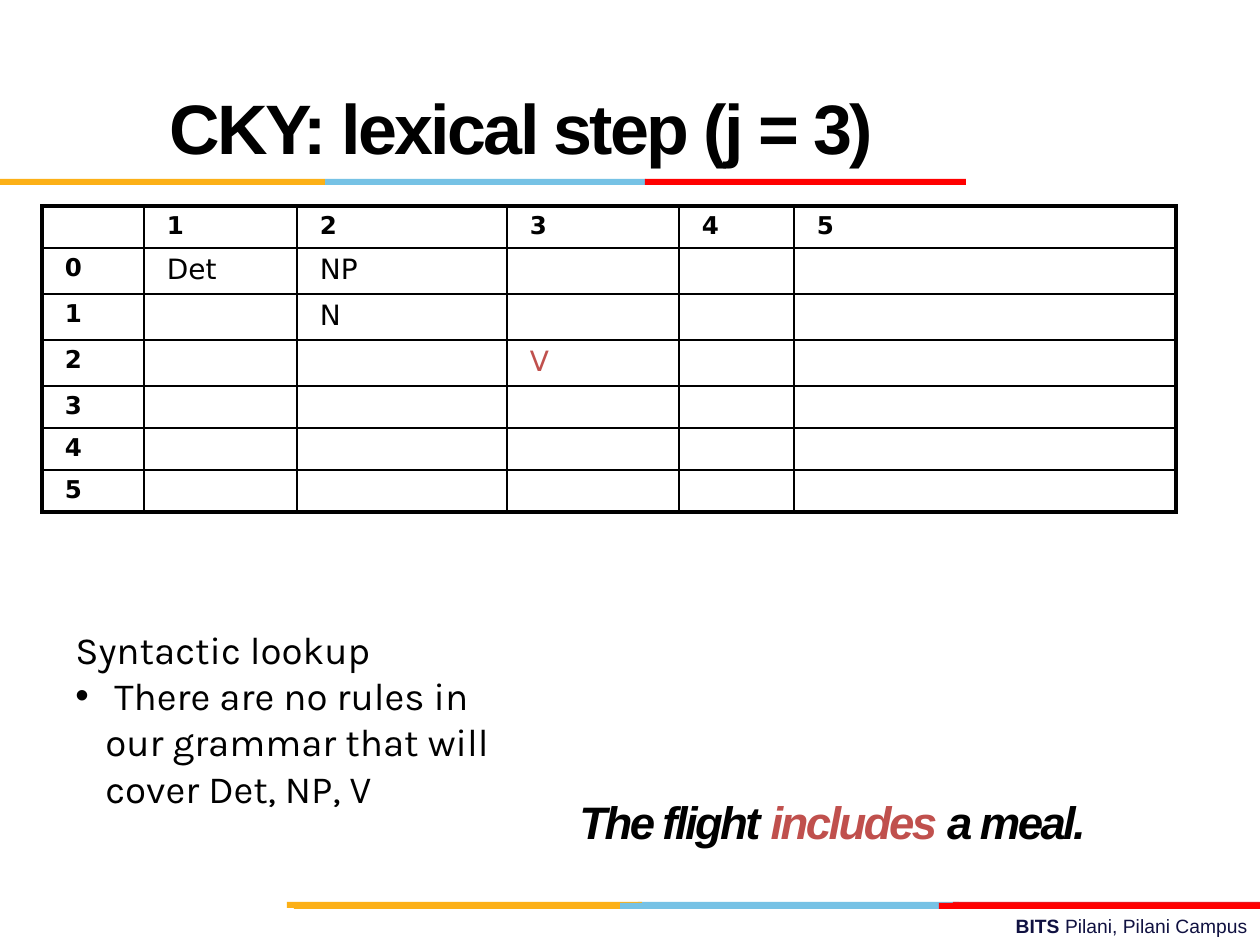
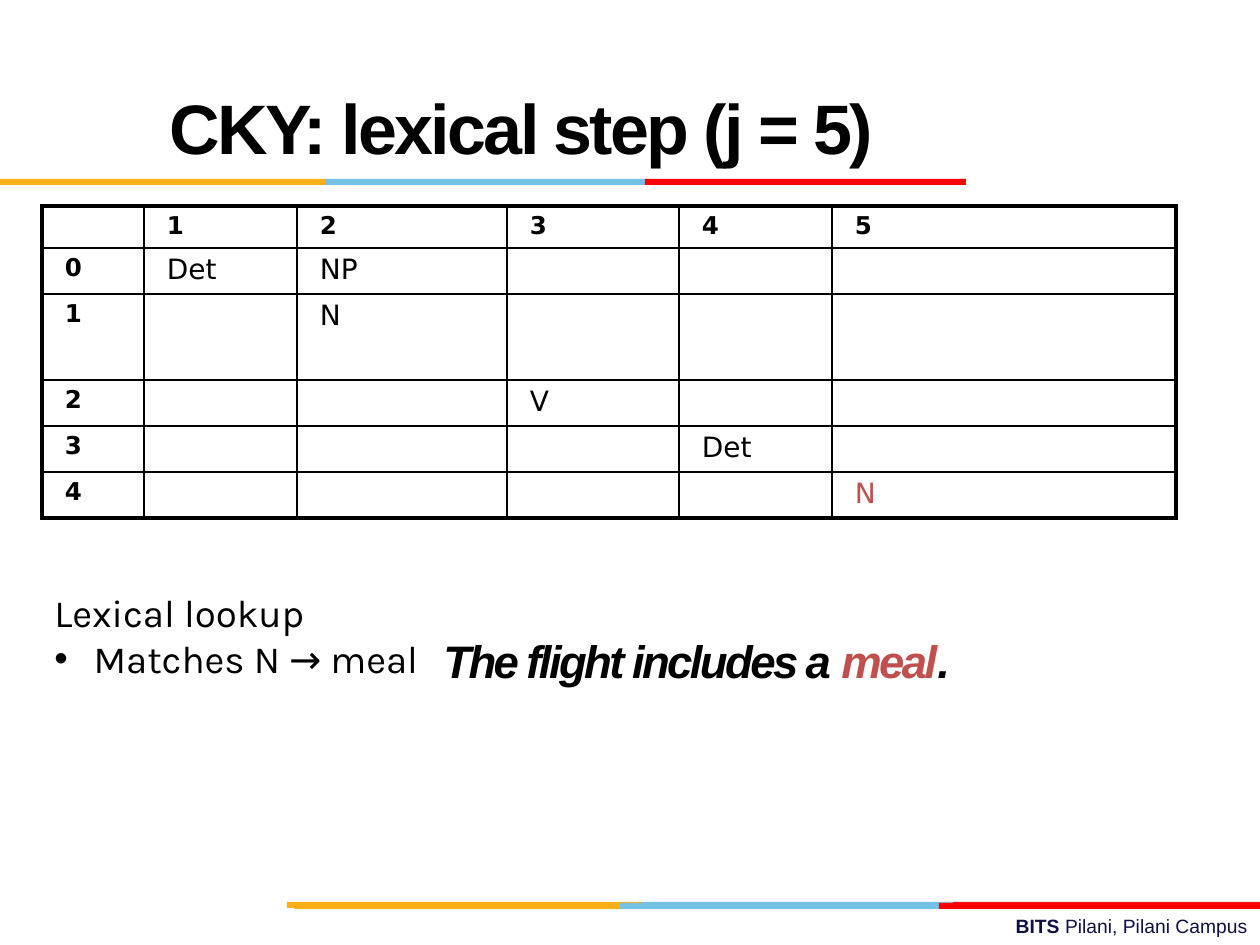
from dataclasses import dataclass
from typing import NamedTuple

from lxml.etree import SubElement
from pptx import Presentation
from pptx.dml.color import RGBColor
from pptx.enum.shapes import MSO_SHAPE
from pptx.enum.text import MSO_ANCHOR, PP_ALIGN
from pptx.oxml.ns import qn
from pptx.slide import Slide
from pptx.table import Table, _Cell
from pptx.text.text import TextFrame, _Paragraph
from pptx.util import Emu, Pt

# Shared style
BLACK = RGBColor(0x00, 0x00, 0x00)
NAVY = RGBColor(0x10, 0x11, 0x41)
ACCENT = RGBColor(0xC0, 0x50, 0x4D)
GOLD = RGBColor(0xFC, 0xB0, 0x17)
SKY = RGBColor(0x76, 0xC2, 0xE5)
CRIMSON = RGBColor(0xE3, 0x1C, 0x24)
RED = RGBColor(0xFF, 0x00, 0x00)

PX_PER_INCH = 126
BAND_HEIGHT = 6
TIGHT_SPACING = -150
THIN, THICK = Pt(1), Pt(2.25)
BULLET_INDENT = 30
CELL_INSET_X, CELL_INSET_Y = 23, 6
TABLE_LEFT, TABLE_TOP = 42, 206


def px(length: int) -> Emu:
    return Emu(round(length * 914400 / PX_PER_INCH))


class Box(NamedTuple):
    left: int
    top: int
    width: int
    height: int

    def emu(self) -> list[Emu]:
        return [px(length) for length in self]


class Band(NamedTuple):
    left: int
    top: int
    width: int
    color: RGBColor


class Word(NamedTuple):
    text: str
    color: RGBColor = BLACK
    bold: bool | None = None


@dataclass(frozen=True)
class Chart:
    """The parse chart: entries are keyed by (row label, column label)."""
    column_widths: list[int]
    row_heights: list[int]
    entries: dict[tuple[int, int], str]
    newest: tuple[int, int]


@dataclass(frozen=True)
class Step:
    title: str
    chart: Chart
    sentence_box: Box
    sentence: list[Word]
    lookup_box: Box
    lookup: str
    finding: str


BANDS = [
    Band(638, 902, 321, SKY), Band(953, 902, 307, CRIMSON), Band(287, 902, 355, GOLD),
    Band(620, 903, 321, SKY), Band(294, 903, 326, GOLD), Band(939, 903, 321, RED),
    Band(325, 179, 321, SKY), Band(0, 179, 325, GOLD), Band(645, 179, 321, RED),
]
FOOTER_BOX = Box(451, 908, 809, 37)
TITLE_BOX = Box(157, 42, 1102, 168)

FIRST_ENTRIES = {(0, 1): "Det", (0, 2): "NP", (1, 2): "N", (2, 3): "V"}

STEPS = [
    Step(
        title="CKY: lexical step (j = 3)",
        chart=Chart([102, 153, 210, 172, 115, 382], [42, 46, 46, 46, 42, 42, 42],
                    FIRST_ENTRIES, newest=(2, 3)),
        sentence_box=Box(567, 746, 872, 158),
        sentence=[Word("The flight "), Word("includes", ACCENT), Word(" a meal.")],
        lookup_box=Box(63, 620, 472, 200),
        lookup="Syntactic lookup",
        finding=" There are no rules in our grammar that will cover Det, NP, V",
    ),
    Step(
        title="CKY: lexical step (j = 5)",
        chart=Chart([102, 153, 210, 172, 153, 344], [42, 46, 86, 46, 46, 46],
                    FIRST_ENTRIES | {(3, 4): "Det", (4, 5): "N"}, newest=(4, 5)),
        sentence_box=Box(431, 585, 872, 158),
        sentence=[Word("The flight includes a "), Word("meal", ACCENT), Word(".")],
        lookup_box=Box(42, 583, 410, 106),
        lookup="Lexical lookup",
        finding=" Matches N → meal",
    ),
]


# Text
def style(paragraph: _Paragraph, font_name: str, size: int, color: RGBColor = BLACK,
          bold: bool | None = None, italic: bool | None = None) -> None:
    font = paragraph.font
    font.name, font.size, font.bold, font.italic = font_name, Pt(size), bold, italic
    font.color.rgb = color


def add_words(paragraph: _Paragraph, words: list[Word], spacing: int = 0) -> None:
    for word in words:
        run = paragraph.add_run()
        run.text = word.text
        run.font.color.rgb = word.color
        if word.bold is not None:
            run.font.bold = word.bold
        if spacing:
            run._r.get_or_add_rPr().set("spc", str(spacing))


def add_text_frame(slide: Slide, box: Box, anchor: MSO_ANCHOR = MSO_ANCHOR.TOP) -> TextFrame:
    text_frame = slide.shapes.add_textbox(*box.emu()).text_frame
    text_frame.word_wrap = True
    text_frame.vertical_anchor = anchor
    return text_frame


def add_bullet(paragraph: _Paragraph) -> None:
    properties = paragraph._p.get_or_add_pPr()
    properties.set("marL", str(px(BULLET_INDENT)))
    properties.set("indent", str(-px(BULLET_INDENT)))
    SubElement(properties, qn("a:buFont"), typeface="Arial")
    SubElement(properties, qn("a:buChar"), char="•")


# Bands and footer
def add_frame(slide: Slide) -> None:
    footer = add_text_frame(slide, FOOTER_BOX).paragraphs[0]
    footer.alignment = PP_ALIGN.RIGHT
    style(footer, "Arial", 11, NAVY)
    add_words(footer, [Word("BITS ", NAVY, True), Word("Pilani, Pilani Campus", NAVY, False)])
    for band in BANDS:
        box = Box(band.left, band.top, band.width, BAND_HEIGHT)
        shape = slide.shapes.add_shape(MSO_SHAPE.RECTANGLE, *box.emu())
        shape.shadow.inherit = False
        shape.fill.solid()
        shape.fill.fore_color.rgb = band.color
        shape.line.fill.background()


# Parse chart table
def add_borders(cell: _Cell, outer_sides: dict[str, bool]) -> None:
    properties = cell._tc.get_or_add_tcPr()
    for side, is_outer in outer_sides.items():
        line = SubElement(properties, qn(f"a:ln{side}"), w=str(THICK if is_outer else THIN))
        fill = SubElement(line, qn("a:solidFill"))
        SubElement(fill, qn("a:srgbClr"), val=str(BLACK))


def fill_cell(cell: _Cell, text: str, size: int, color: RGBColor, bold: bool) -> None:
    cell.margin_left = cell.margin_right = px(CELL_INSET_X)
    cell.margin_top = cell.margin_bottom = px(CELL_INSET_Y)
    cell.fill.background()
    paragraph = cell.text_frame.paragraphs[0]
    style(paragraph, "DejaVu Sans", size, color, bold)
    if text:
        paragraph.add_run().text = text
    else:  # keeps empty cells from stretching their row
        SubElement(paragraph._p, qn("a:endParaRPr"), sz=str(size * 100))


def add_chart_table(slide: Slide, chart: Chart) -> None:
    row_count, column_count = len(chart.row_heights), len(chart.column_widths)
    box = Box(TABLE_LEFT, TABLE_TOP, sum(chart.column_widths), sum(chart.row_heights))
    table: Table = slide.shapes.add_table(row_count, column_count, *box.emu()).table
    table.first_row = table.horz_banding = False
    for column, width in zip(table.columns, chart.column_widths):
        column.width = px(width)
    for row_index, (row, height) in enumerate(zip(table.rows, chart.row_heights)):
        row.height = px(height)
        for column_index, cell in enumerate(row.cells):
            add_borders(cell, {"L": column_index == 0, "R": column_index == column_count - 1,
                               "T": row_index == 0, "B": row_index == row_count - 1})
            key = (row_index - 1, column_index)
            if row_index == 0:
                text = str(column_index) if column_index else ""
            elif column_index == 0:
                text = str(row_index - 1)
            else:
                text = chart.entries.get(key, "")
            is_entry = key in chart.entries
            fill_cell(cell, text, 16 if is_entry else 14,
                      ACCENT if key == chart.newest else BLACK, not is_entry)


# Slide
def add_step(presentation: Presentation, step: Step) -> None:
    slide = presentation.slides.add_slide(presentation.slide_layouts[6])
    add_frame(slide)
    add_chart_table(slide, step.chart)

    sentence = add_text_frame(slide, step.sentence_box, MSO_ANCHOR.MIDDLE).paragraphs[0]
    sentence.line_spacing = 0.9
    style(sentence, "Arial", 26, bold=True, italic=True)
    add_words(sentence, step.sentence, TIGHT_SPACING)

    title = add_text_frame(slide, TITLE_BOX, MSO_ANCHOR.MIDDLE).paragraphs[0]
    style(title, "Arial", 40, bold=True)
    add_words(title, [Word(step.title)], TIGHT_SPACING)

    lookup_frame = add_text_frame(slide, step.lookup_box)
    heading, finding = lookup_frame.paragraphs[0], lookup_frame.add_paragraph()
    add_bullet(finding)
    for paragraph, text in ((heading, step.lookup), (finding, step.finding)):
        style(paragraph, "Karla", 22)
        add_words(paragraph, [Word(text)])


def main() -> None:
    presentation = Presentation()
    presentation.slide_width, presentation.slide_height = px(1260), px(945)
    for step in STEPS:
        add_step(presentation, step)
    presentation.save("out.pptx")


if __name__ == "__main__":
    main()
